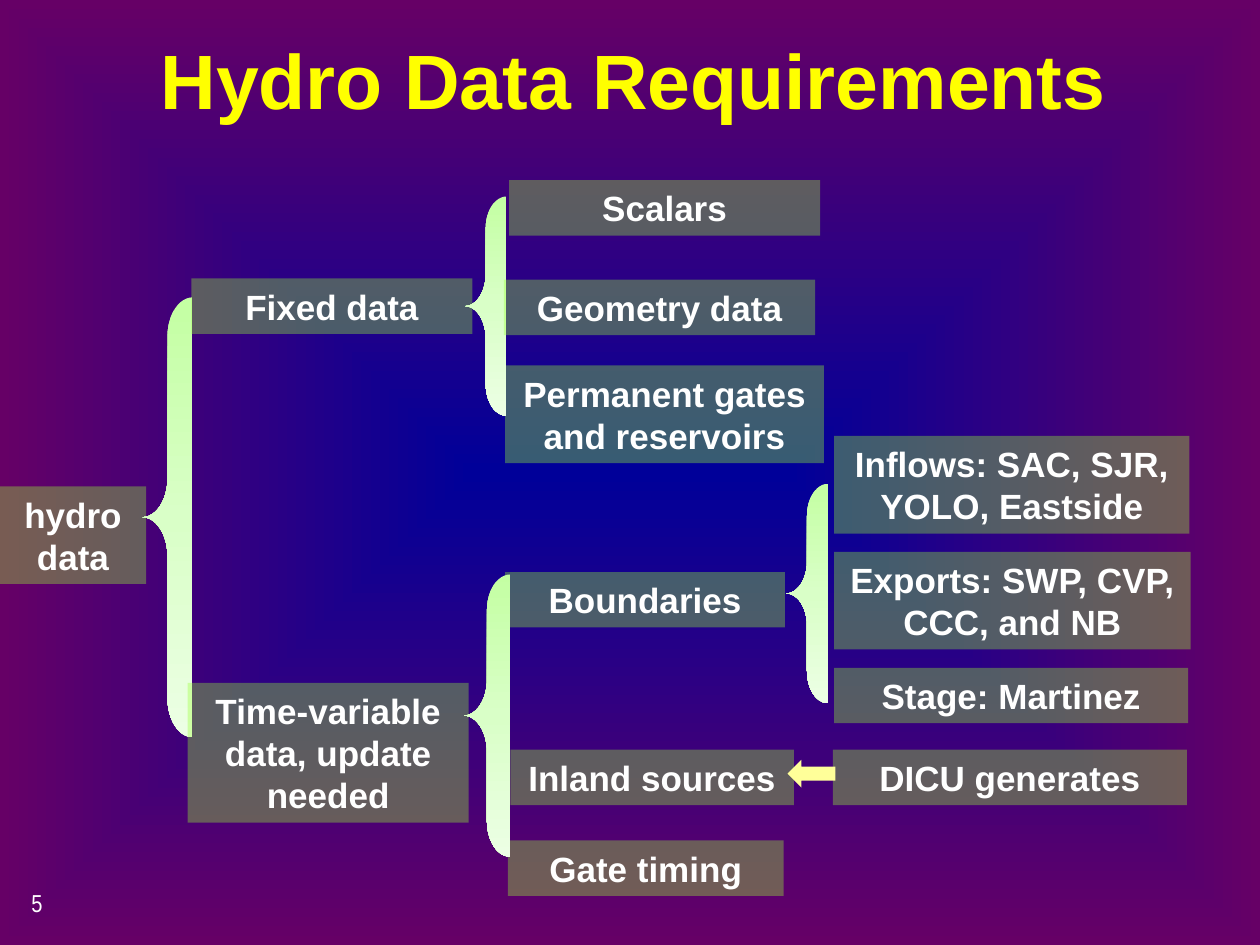
from pptx import Presentation
from pptx.dml.color import RGBColor as RGB
from pptx.enum.shapes import MSO_SHAPE as SHAPE
from pptx.enum.text import MSO_ANCHOR as ANCHOR, PP_ALIGN as ALIGN
from pptx.oxml import parse_xml
from pptx.oxml.ns import nsdecls, qn
from pptx.util import Inches, Pt

COLORS = {
    "centre": "000099", "edge": "660066", "title": "FFFF00", "text": "FFFFFF",
    "box": "99FF33", "arrow": "FFFF99",
    "brace_top": "C4FFA3", "brace_mid": "D9FFC7", "brace_end": "ECFFE4",
}
FORMATS = {
    "title": {"name": "Arial", "size": Pt(44), "bold": True},
    "box": {"name": "Arial", "size": Pt(20), "bold": True},
    "number": {"name": "Arial Narrow", "size": Pt(14), "bold": False},
}
COLS, ROWS = 100, 75
LINE_ROWS, PAD_ROWS = 3.35, 1.05

ROOT = [(0, 38.6, 11.6, "hydro\ndata")]
BOXES = [
    (40.5, 59.5, 22.5, "Inland sources"),
    (40.1, 45.4, 22.2, "Boundaries"),
    (40.3, 66.7, 21.9, "Gate timing"),
    (66.2, 34.6, 28.2, "Inflows: SAC, SJR,\nYOLO, Eastside"),
    (66.2, 43.8, 28.3, "Exports: SWP, CVP,\nCCC, and NB"),
    (66.2, 53, 28.1, "Stage: Martinez"),
    (14.9, 54.2, 22.3, "Time-variable data, update needed", 3),
    (15.2, 22.1, 22.3, "Fixed data"),
    (40.4, 14.3, 24.7, "Scalars"),
    (40.1, 29, 25.3, "Permanent gates and reservoirs", 2),
    (66.1, 59.5, 28.1, "DICU generates"),
]
FRONT_BOXES = [(40, 22.2, 24.7, "Geometry data")]
ROOT_BRACE = [(11.3, 23.6, 4, 34.9)]
BRACES = [(36.8, 45.6, 3.7, 22.4), (62.4, 38.4, 3.3, 17.4), (36.9, 15.6, 3.3, 17.4)]


class Deck:
    def __init__(self):
        self.prs = Presentation()
        self.prs.slide_width, self.prs.slide_height = Inches(10), Inches(7.5)
        self.s = self.prs.slides.add_slide(self.prs.slide_layouts[5])

    def grid(self, x, y, w, h):
        col, row = self.prs.slide_width / COLS, self.prs.slide_height / ROWS
        return round(x * col), round(y * row), round(w * col), round(h * row)

    def label(self, tf, text, style, color="text", align=ALIGN.CENTER):
        tf.word_wrap = True
        tf.vertical_anchor = ANCHOR.MIDDLE
        for i, line in enumerate(text.split("\n")):
            p = tf.paragraphs[0] if i == 0 else tf.add_paragraph()
            p.alignment = align
            r = p.add_run()
            r.text = line
            for key, value in FORMATS[style].items():
                setattr(r.font, key, value)
            r.font.color.rgb = RGB.from_string(COLORS[color])

    def gradient(self, fill, holder, stops, shading):
        fill.gradient()
        grad = holder.find(".//" + qn("a:gradFill"))
        for child in list(grad):
            grad.remove(child)
        gs = "".join(
            f'<a:gs pos="{pos * 1000}"><a:srgbClr val="{COLORS[c]}"/></a:gs>'
            for pos, c in stops)
        grad.append(parse_xml(f'<a:gsLst {nsdecls("a")}>{gs}</a:gsLst>'))
        grad.append(parse_xml(shading))

    def background(self):
        self.gradient(
            self.s.background.fill, self.s.element, [(0, "centre"), (100, "edge")],
            f'<a:path {nsdecls("a")} path="shape"><a:fillToRect '
            'l="50000" t="50000" r="50000" b="50000"/></a:path>')

    def title(self, text, *place):
        sp = self.s.shapes.title
        sp.left, sp.top, sp.width, sp.height = self.grid(*place)
        self.label(sp.text_frame, text, "title", "title")

    def number(self, text, *place):
        sp = self.s.shapes.add_textbox(*self.grid(*place))
        self.label(sp.text_frame, text, "number", align=ALIGN.LEFT)
        sp.text_frame.vertical_anchor = ANCHOR.TOP

    def shape(self, kind, *place):
        sp = self.s.shapes.add_shape(kind, *self.grid(*place))
        sp.shadow.inherit = False
        sp.line.fill.background()
        return sp

    def solid(self, sp, color):
        sp.fill.solid()
        sp.fill.fore_color.rgb = RGB.from_string(COLORS[color])

    def box(self, x, y, w, text, lines=None):
        lines = lines or text.count("\n") + 1
        sp = self.shape(SHAPE.RECTANGLE, x, y, w, lines * LINE_ROWS + PAD_ROWS)
        self.solid(sp, "box")
        clr = sp.element.spPr.find(".//" + qn("a:srgbClr"))
        clr.append(parse_xml(f'<a:alpha {nsdecls("a")} val="36000"/>'))
        self.label(sp.text_frame, text, "box")

    def brace(self, *place):
        sp = self.shape(SHAPE.LEFT_BRACE, *place)
        sp.adjustments[0], sp.adjustments[1] = 0.77, 0.5
        self.gradient(
            sp.fill, sp.element.spPr,
            [(0, "brace_top"), (50, "brace_mid"), (100, "brace_end")],
            f'<a:lin {nsdecls("a")} ang="5400000" scaled="0"/>')

    def arrow(self, *place):
        self.solid(self.shape(SHAPE.LEFT_ARROW, *place), "arrow")


def main():
    deck = Deck()
    deck.background()
    deck.number("5", 1.5, 70, 20.8, 5)
    deck.title("Hydro Data Requirements", 7.8, 0, 85, 12.5)
    for draw, items in (
        (deck.box, ROOT), (deck.brace, ROOT_BRACE), (deck.box, BOXES),
        (deck.brace, BRACES), (deck.box, FRONT_BOXES),
    ):
        for item in items:
            draw(*item)
    deck.arrow(62.5, 60.3, 3.8, 2.2)
    deck.prs.save("out.pptx")


if __name__ == "__main__":
    main()
